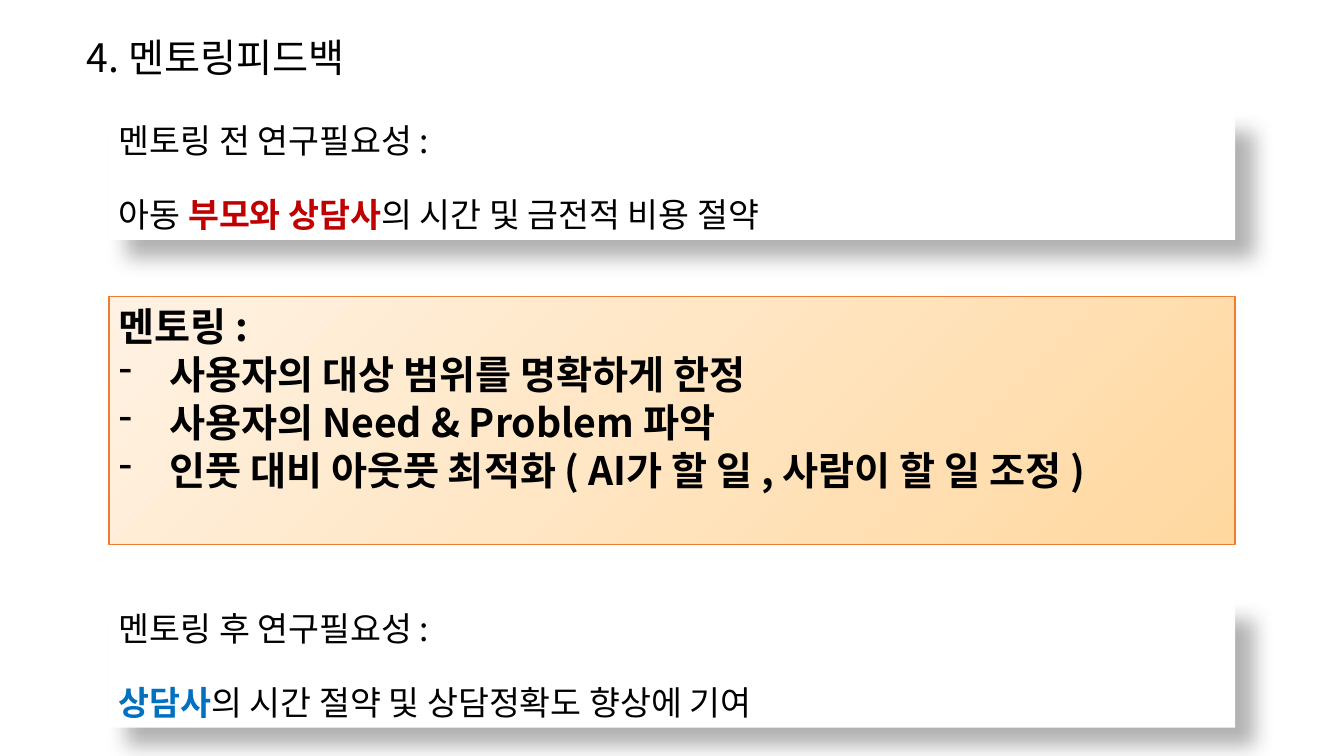
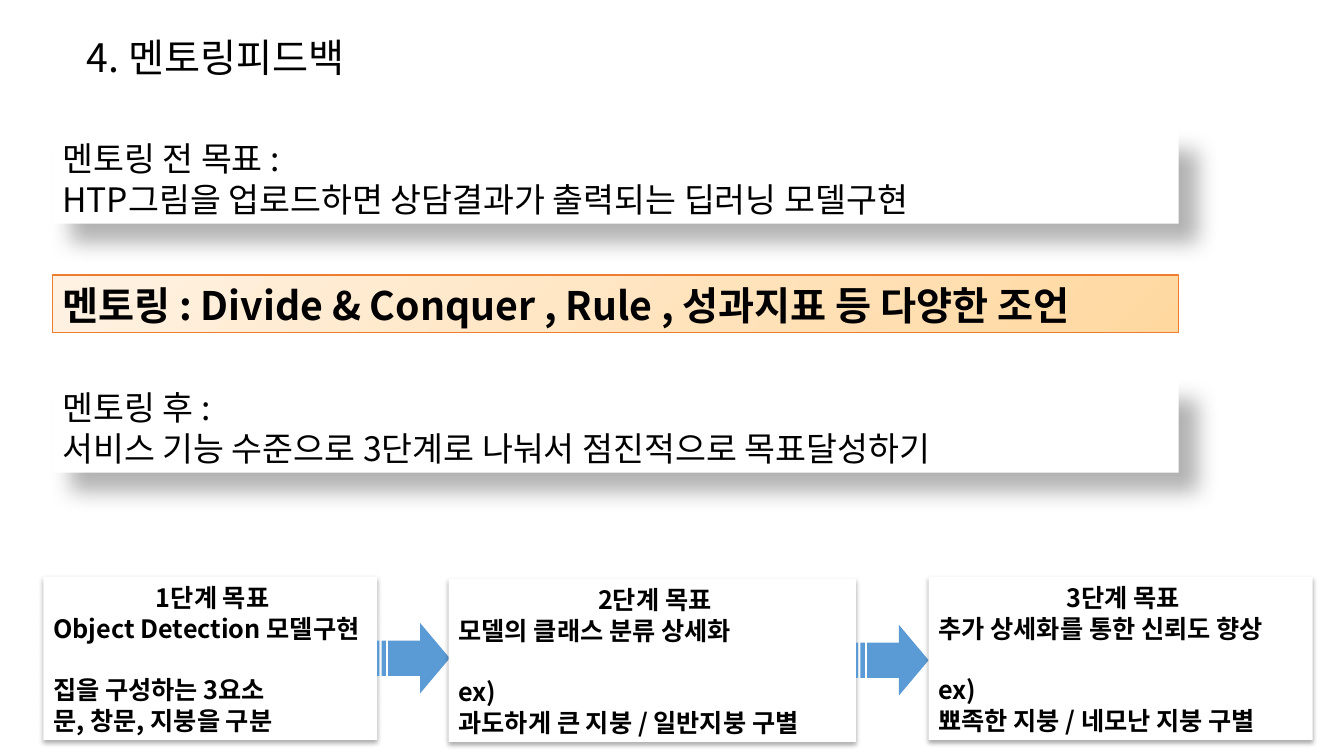
import pptx
import pptx.util
import pptx.dml.color
import pptx.enum.shapes
import pptx.enum.text
import pptx.oxml
import pptx.oxml.ns

Inches = pptx.util.Inches
Pt = pptx.util.Pt
RGBColor = pptx.dml.color.RGBColor
MSO_SHAPE = pptx.enum.shapes.MSO_SHAPE
PP_ALIGN = pptx.enum.text.PP_ALIGN
MSO_ANCHOR = pptx.enum.text.MSO_ANCHOR

FONT = "Noto Sans CJK KR"
COLORS = {
    "text": "000000",
    "panel": "FFFFFF",
    "red": "C00000",
    "blue": "0070C0",
    "arrow": "5B9BD5",
    "band_line": "ED7D31",
    "band_dark": "FFD8A0",
    "band_light": "FFF2E3",
}
LINE_HEIGHT = 1.22
PANEL_WIDTH = 11.17
# Shadow: opacity in percent, blur and distance in points, direction in degrees
PANEL_SHADOW = (30, 15, 18, 45)
CARD_SHADOW = (32, 3.5, 2.2, 90)


def write_runs(paragraph, runs, size, bold=False):
    """Add runs given as plain strings or as (text, colour name) highlights."""
    for item in runs:
        text, color = (item, "text") if isinstance(item, str) else item
        run = paragraph.add_run()
        run.text = text
        run.font.size = Pt(size)
        run.font.bold = bold or color != "text"
        run.font.name = FONT
        run.font.color.rgb = RGBColor.from_string(COLORS[color])
        east_asian = pptx.oxml.parse_xml(
            f'<a:ea {pptx.oxml.ns.nsdecls("a")} typeface="{FONT}"/>')
        run.font._element.find(pptx.oxml.ns.qn("a:latin")).addnext(east_asian)


def add_box(slide, place, lines, size, bold=False, gap_before=None, gap=0, shadow=None):
    """Add a white panel with a shadow, or an orange band when there is none."""
    shape = slide.shapes.add_shape(MSO_SHAPE.RECTANGLE, *map(Inches, place))
    shape.shadow.inherit = False
    if shadow:
        opacity, blur, distance, direction = shadow
        shape.fill.solid()
        shape.fill.fore_color.rgb = RGBColor.from_string(COLORS["panel"])
        shape.line.fill.background()
        effects = shape._element.spPr.find(pptx.oxml.ns.qn("a:effectLst"))
        effects.append(pptx.oxml.parse_xml(
            f'<a:outerShdw {pptx.oxml.ns.nsdecls("a")} blurRad="{Pt(blur)}" '
            f'dist="{Pt(distance)}" dir="{direction * 60000}" algn="tl" rotWithShape="0">'
            f'<a:srgbClr val="000000"><a:alpha val="{opacity * 1000}"/></a:srgbClr>'
            '</a:outerShdw>'))
    else:
        shape.fill.gradient()
        shape.fill.gradient_angle = 135
        for stop, name in zip(shape.fill.gradient_stops, ("band_dark", "band_light")):
            stop.color.rgb = RGBColor.from_string(COLORS[name])
        shape.line.color.rgb = RGBColor.from_string(COLORS["band_line"])
        shape.line.width = Pt(1)
    frame = shape.text_frame
    frame.word_wrap = True
    frame.vertical_anchor = MSO_ANCHOR.TOP
    for index, runs in enumerate(lines):
        paragraph = frame.paragraphs[0] if index == 0 else frame.add_paragraph()
        paragraph.alignment = PP_ALIGN.LEFT
        paragraph.line_spacing = Pt(round(size * LINE_HEIGHT, 1))
        if index == gap_before:
            paragraph.space_before = Pt(gap)
        write_runs(paragraph, runs, size, bold)
    return shape


presentation = pptx.Presentation()
presentation.slide_width = Inches(13.33)
presentation.slide_height = Inches(7.5)

slides = []
for _ in range(2):
    slide = presentation.slides.add_slide(presentation.slide_layouts[5])
    title = slide.shapes.title
    title.left, title.top = Inches(0), Inches(-0.05)
    title.width, title.height = Inches(4.28), Inches(0.9)
    title.text_frame.vertical_anchor = MSO_ANCHOR.BOTTOM
    paragraph = title.text_frame.paragraphs[0]
    paragraph.alignment = PP_ALIGN.CENTER
    paragraph.line_spacing = 0.9
    write_runs(paragraph, ["4. 멘토링피드백"], 28)
    slides.append(slide)
need_slide, goal_slide = slides

# Slide 1: research need before and after mentoring
need_panels = [
    (1.13, [["멘토링 전 연구필요성 :"],
            ["아동 ", ("부모와 상담사", "red"), "의 시간 및 금전적 비용 절약"]]),
    (5.97, [["멘토링 후 연구필요성 :"],
            [("상담사", "blue"), "의 시간 절약 및 상담정확도 향상에 기여"]]),
]
for top, lines in need_panels:
    add_box(need_slide, (1.08, top, PANEL_WIDTH, 1.25), lines, 24,
            gap_before=1, gap=24, shadow=PANEL_SHADOW)

advice = add_box(need_slide, (1.08, 2.94, PANEL_WIDTH, 2.46), [
    ["멘토링 :"],
    ["사용자의 대상 범위를 명확하게 한정"],
    ["사용자의 Need & Problem 파악"],
    ["인풋 대비 아웃풋 최적화 ( AI가 할 일 , 사람이 할 일 조정 )"],
], 28, bold=True)
for paragraph in advice.text_frame.paragraphs[1:]:
    properties = paragraph._p.get_or_add_pPr()
    properties.set("marL", str(Inches(0.5)))
    properties.set("indent", str(Inches(-0.5)))
    properties.append(pptx.oxml.parse_xml(
        f'<a:buChar {pptx.oxml.ns.nsdecls("a")} char="-"/>'))

# Slide 2: goals before and after mentoring, then three stages
goal_panels = [
    (1.31, [["멘토링 전 목표 :"],
            ["HTP그림을 업로드하면 상담결과가 출력되는 딥러닝 모델구현"]]),
    (3.78, [["멘토링 후 :"],
            ["서비스 기능 수준으로 3단계로 나눠서 점진적으로 목표달성하기"]]),
]
for top, lines in goal_panels:
    add_box(goal_slide, (0.52, top, PANEL_WIDTH, 0.91), lines, 24, shadow=PANEL_SHADOW)
add_box(goal_slide, (0.52, 2.73, PANEL_WIDTH, 0.57),
        [["멘토링 : Divide & Conquer , Rule , 성과지표 등 다양한 조언"]], 28, bold=True)

stages = [
    (0.43, 5.72, 3.31, ["1단계 목표", "Object Detection 모델구현",
                        "집을 구성하는 3요소", "문, 창문, 지붕을 구분"]),
    (4.45, 5.74, 4.04, ["2단계 목표", "모델의 클래스 분류 상세화",
                        "ex)", "과도하게 큰 지붕 / 일반지붕 구별"]),
    (9.21, 5.72, 3.81, ["3단계 목표", "추가 상세화를 통한 신뢰도 향상",
                        "ex)", "뾰족한 지붕 / 네모난 지붕 구별"]),
]
for number, (left, top, width, lines) in enumerate(stages, start=1):
    card = add_box(goal_slide, (left, top, width, 1.62), [[line] for line in lines],
                   18, bold=True, gap_before=2, gap=22, shadow=CARD_SHADOW)
    card.text_frame.margin_right = Inches(0.05)
    card.text_frame.paragraphs[0].alignment = PP_ALIGN.CENTER
    if number < len(stages):
        arrow = goal_slide.shapes.add_shape(
            MSO_SHAPE.STRIPED_RIGHT_ARROW, Inches(left + width), Inches(top + 0.46),
            Inches(0.72), Inches(0.7))
        arrow.adjustments[0] = 0.5
        arrow.adjustments[1] = 0.42
        arrow.shadow.inherit = False
        arrow.fill.solid()
        arrow.fill.fore_color.rgb = RGBColor.from_string(COLORS["arrow"])
        arrow.line.fill.background()

presentation.save("out.pptx")
